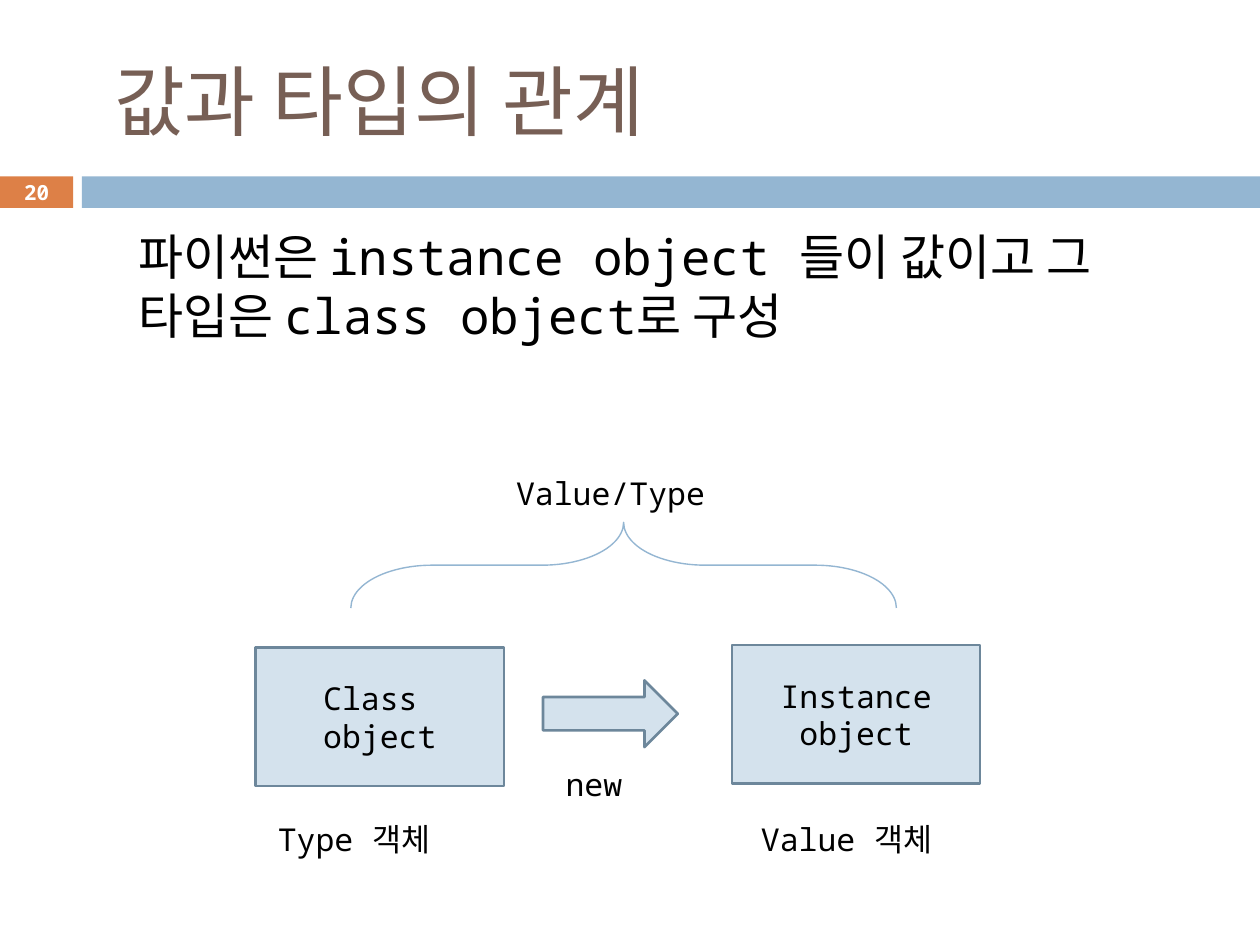
"""Build the slide on how values and types relate in Python."""
from typing import NamedTuple, Optional

from pptx import Presentation
from pptx.dml.color import RGBColor
from pptx.enum.shapes import MSO_SHAPE as Shape
from pptx.enum.text import MSO_ANCHOR as Anchor, PP_ALIGN as Align
from pptx.oxml.ns import qn
from pptx.util import Pt

PX = 9144
FONT = "Noto Sans Mono"
BLACK = RGBColor(0x00, 0x00, 0x00)
WHITE = RGBColor(0xFF, 0xFF, 0xFF)
BROWN = RGBColor(0x77, 0x5F, 0x55)
ORANGE = RGBColor(0xDD, 0x80, 0x47)
BLUE = RGBColor(0x94, 0xB6, 0xD2)
PALE = RGBColor(0xD4, 0xE2, 0xED)
STEEL = RGBColor(0x6D, 0x87, 0x9B)


class Box(NamedTuple):
    x: int
    y: int
    w: int
    h: int


class Figure(NamedTuple):
    kind: Shape
    box: Box
    fill: Optional[RGBColor]
    line: Optional[RGBColor] = None
    weight: float = 1.5
    lines: tuple[str, ...] = ()


class Label(NamedTuple):
    text: str
    box: Box
    size: float = 18
    color: RGBColor = BLACK
    align: Align = Align.LEFT
    anchor: Anchor = Anchor.TOP
    bold: bool = False
    indent: int = 0


FIGURES = (
    Figure(Shape.RECTANGLE, Box(0, 140, 58, 25), ORANGE),
    Figure(Shape.RECTANGLE, Box(65, 140, 935, 25), BLUE),
    Figure(Shape.RECTANGLE, Box(203, 514, 197, 110), PALE, STEEL,
           lines=("Class ", "object")),
    Figure(Shape.RECTANGLE, Box(581, 512, 197, 110), PALE, STEEL,
           lines=("Instance", "object")),
    Figure(Shape.RIGHT_ARROW, Box(431, 540, 107, 53), PALE, STEEL),
)
BRACE = Figure(Shape.RIGHT_BRACE, Box(461, 232, 68, 433), None, BLUE, 0.79)
LABELS = (
    Label(" 값과 타입의 관계", Box(67, 25, 892, 108), 44, BROWN,
          anchor=Anchor.MIDDLE),
    Label("파이썬은 instance object 들이 값이고 그 타입은 class object로 구성",
          Box(50, 175, 900, 121), 28, indent=50),
    Label("Type 객체", Box(193, 646, 176, 40), align=Align.CENTER),
    Label("Value 객체", Box(594, 646, 171, 40)),
    Label("new", Box(439, 602, 110, 40)),
    Label("Value/Type", Box(394, 371, 181, 40), align=Align.CENTER),
    Label("20", Box(0, 139, 58, 27), 11.9, WHITE, Align.CENTER,
          Anchor.MIDDLE, True),
)


def scaled(box: Box) -> list[int]:
    return [v * PX for v in box]


def add_run(p, text: str, size: float, color: RGBColor, bold: bool = False) -> None:
    r = p.add_run()
    r.text = text
    r.font.name = FONT
    r.font.size = Pt(size)
    r.font.bold = bold
    r.font.color.rgb = color


def draw_figure(s, fig: Figure):
    sp = s.shapes.add_shape(fig.kind, *scaled(fig.box))
    sp.shadow.inherit = False
    if fig.fill is None:
        sp.fill.background()
    else:
        sp.fill.solid()
        sp.fill.fore_color.rgb = fig.fill
    if fig.line is None:
        sp.line.fill.background()
    else:
        sp.line.color.rgb = fig.line
        sp.line.width = Pt(fig.weight)
    tf = sp.text_frame
    tf.vertical_anchor = Anchor.MIDDLE
    for i, text in enumerate(fig.lines):
        p = tf.add_paragraph() if i else tf.paragraphs[0]
        p.alignment = Align.CENTER
        add_run(p, text, 18, BLACK)
    return sp


def draw_brace(s, fig: Figure) -> None:
    sp = draw_figure(s, fig)
    sp.adjustments[0] = 0.95
    sp.adjustments[1] = 0.5
    sp.rotation = 90
    sp._element.spPr.find(qn("a:xfrm")).set("flipH", "1")


def draw_label(s, label: Label) -> None:
    tf = s.shapes.add_textbox(*scaled(label.box)).text_frame
    tf.word_wrap = True
    tf.vertical_anchor = label.anchor
    p = tf.paragraphs[0]
    p.alignment = label.align
    if label.indent:
        p._p.get_or_add_pPr().set("marL", str(label.indent * PX))
    add_run(p, label.text, label.size, label.color, label.bold)


def main() -> None:
    prs = Presentation()
    prs.slide_width, prs.slide_height = 1000 * PX, 750 * PX
    s = prs.slides.add_slide(prs.slide_layouts[6])
    for fig in FIGURES:
        draw_figure(s, fig)
    draw_brace(s, BRACE)
    for label in LABELS:
        draw_label(s, label)
    prs.save("out.pptx")


if __name__ == "__main__":
    main()
